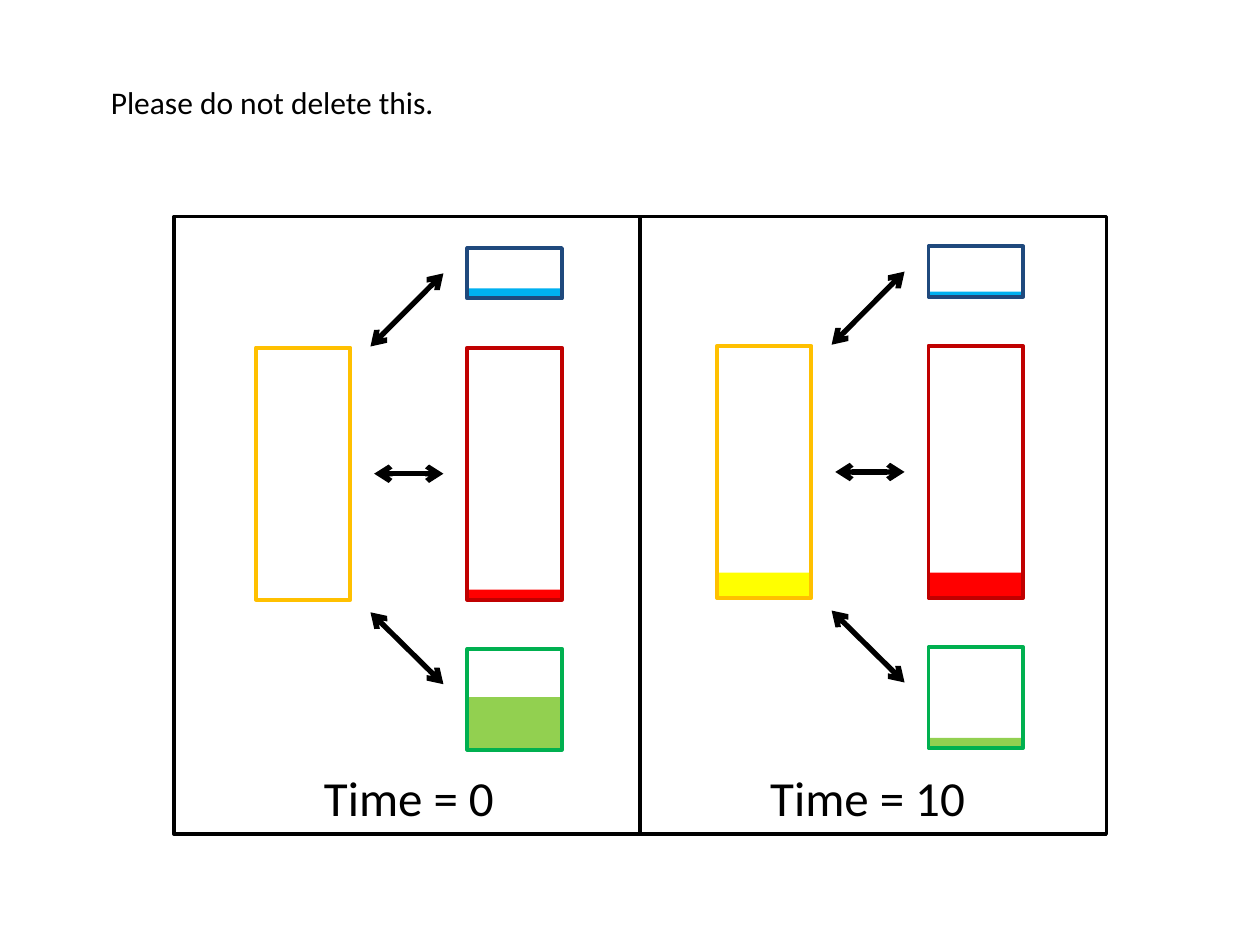
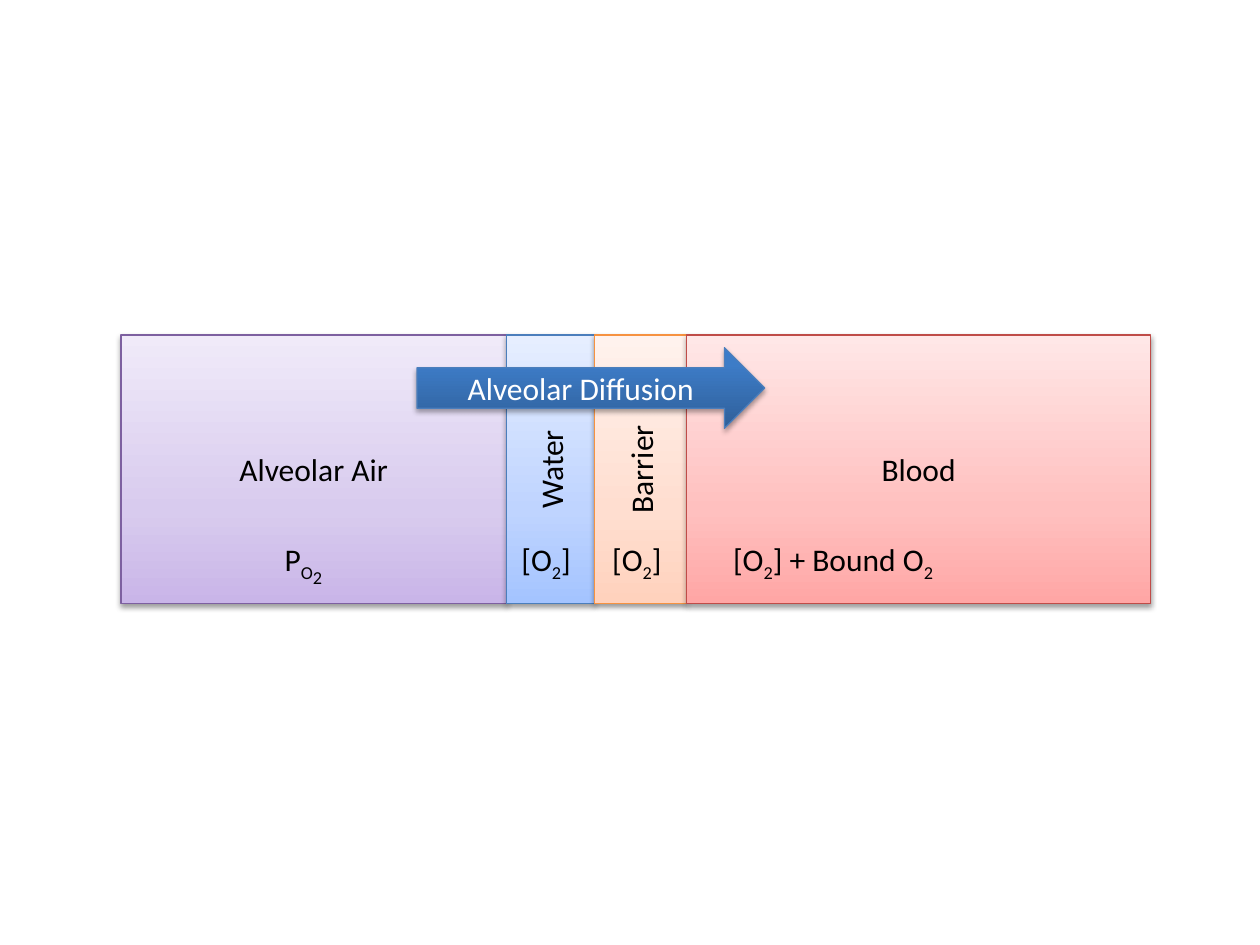
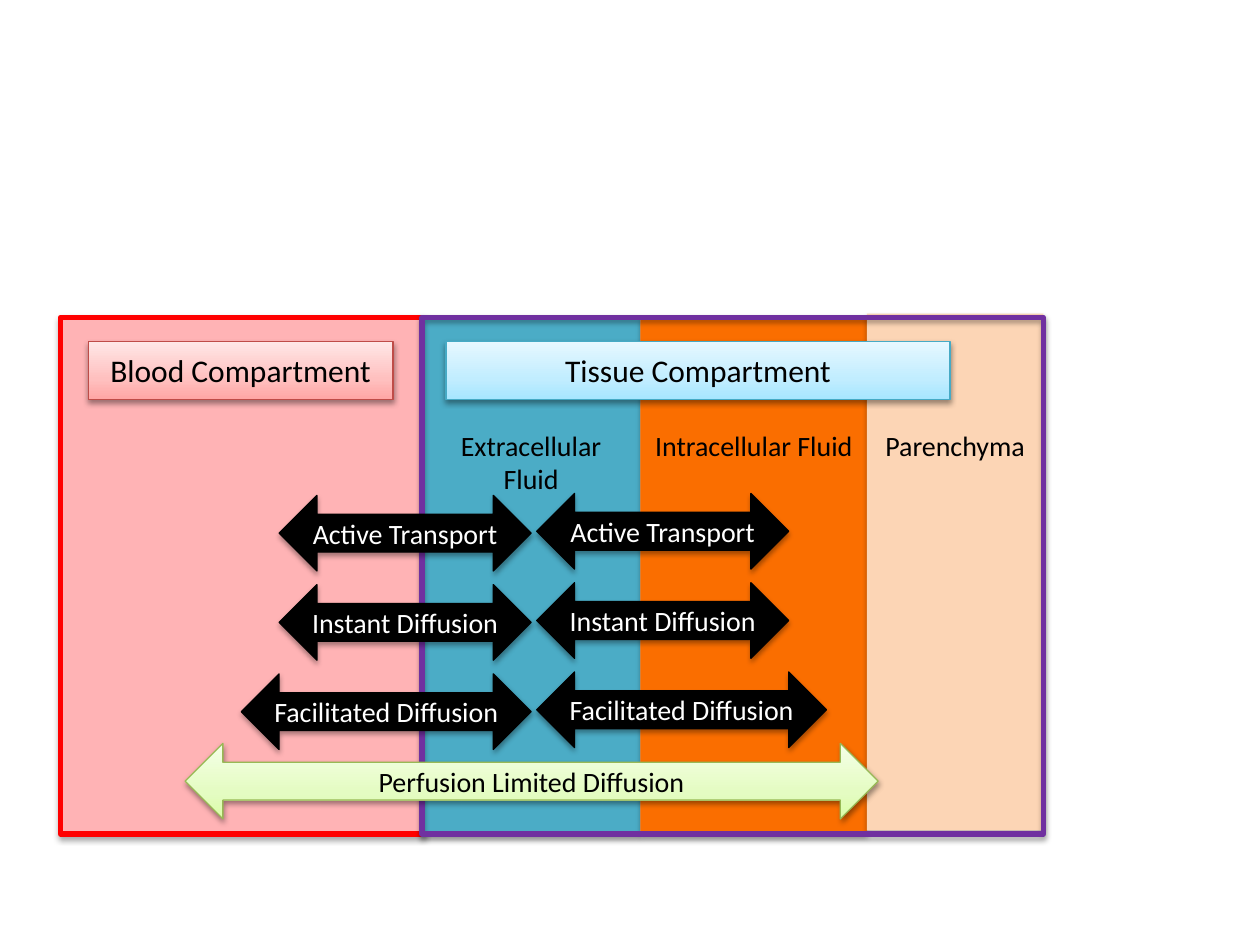
from copy import deepcopy
from dataclasses import dataclass
from typing import NamedTuple

from lxml.etree import SubElement
from pptx import Presentation
from pptx.dml.color import RGBColor
from pptx.enum.shapes import MSO_CONNECTOR, MSO_SHAPE
from pptx.enum.text import MSO_ANCHOR, MSO_AUTO_SIZE, PP_ALIGN
from pptx.oxml.ns import qn
from pptx.util import Pt

FONT = "Calibri"
COLORS = {
    "black": "000000", "white": "FFFFFF",
    "blood": "FF0000", "blood wall": "C00000",
    "water": "00B0F0", "water wall": "1F497D",
    "plant": "92D050", "plant wall": "00B050",
    "sun": "FFFF00", "sun wall": "FFC000",
    "lilac edge": "7D60A0", "blue edge": "4B7EBC", "peach edge": "F69240",
    "rose edge": "BF4C48", "aqua edge": "46AAC5", "lime edge": "98B955",
    "pink": "FFB3B5", "teal": "4BACC6", "orange": "FA6E00",
    "skin": "FCD5B5", "purple": "7030A0",
}
# Stop position in percent, from the bottom edge up, and its colour
GRADIENTS = {
    "lilac": {0: "C9B5E8", 35: "D8CBEE", 100: "F0EAF9"},
    "blue": {0: "A4C4FF", 35: "BFD4FF", 100: "E6EEFF"},
    "peach": {0: "FFD2BD", 35: "FFDED0", 100: "FFF2ED"},
    "rose": {0: "FFA6A5", 35: "FFC0BF", 100: "FFE7E7"},
    "aqua": {0: "A7E6FF", 35: "C1EDFF", 100: "E7F8FF"},
    "lime": {0: "DAFDA7", 35: "E4FCC2", 100: "F5FFE7"},
    "deep blue": {0: "2F5F99", 80: "3D7CC7", 100: "3A7CCB"},
}


class Box(NamedTuple):
    left: float
    top: float
    width: float
    height: float


class Shadow(NamedTuple):
    opacity: int
    distance: float


SOFT = Shadow(38, 1.6)
STRONG = Shadow(35, 1.8)


@dataclass(frozen=True)
class Style:
    fill: str | None = None
    line: str | None = None
    line_width: float = 0.75
    shadow: Shadow | None = None


@dataclass(frozen=True)
class Vessel:
    name: str
    left: float
    top: float
    height: float


@dataclass(frozen=True)
class Panel:
    caption: str
    caption_left: float
    shift_x: float
    shift_y: float
    levels: dict[str, float]


@dataclass(frozen=True)
class Compartment:
    text: str
    width: float
    tint: str
    upright: bool = False


def rgb(name: str) -> RGBColor:
    return RGBColor.from_string(COLORS[name])


def write_text(shape, text, *, size=18, color="black", align=PP_ALIGN.CENTER,
               anchor=MSO_ANCHOR.MIDDLE, upright=False) -> None:
    """Write a string, or (string, baseline percent) pairs, as one paragraph."""
    frame = shape.text_frame
    frame.word_wrap = True
    frame.vertical_anchor = anchor
    if upright:
        frame._txBody.bodyPr.set("vert", "vert270")
    paragraph = frame.paragraphs[0]
    paragraph.alignment = align
    for part, baseline in [(text, 0)] if isinstance(text, str) else text:
        run = paragraph.add_run()
        run.text = part
        run.font.name = FONT
        run.font.size = Pt(size)
        run.font.color.rgb = rgb(color)
        if baseline:
            run.font._element.set("baseline", str(baseline * 1000))


def add_label(slide, box: Box, text, **text_format) -> None:
    label = slide.shapes.add_textbox(*map(Pt, box))
    write_text(label, text, anchor=MSO_ANCHOR.TOP, **text_format)
    label.text_frame.auto_size = MSO_AUTO_SIZE.SHAPE_TO_FIT_TEXT


def fill_gradient(shape, name: str) -> None:
    shape.fill.gradient()
    shape.fill.gradient_angle = 90
    stop_list = shape.element.spPr.find(f".//{qn('a:gsLst')}")
    stop_list.append(deepcopy(stop_list[-1]))
    for stop, (percent, color) in zip(shape.fill.gradient_stops, GRADIENTS[name].items()):
        stop.position = percent / 100
        stop.color.rgb = RGBColor.from_string(color)


def cast_shadow(shape, shadow: Shadow) -> None:
    effects = shape.element.spPr.find(qn("a:effectLst"))
    outer = SubElement(effects, qn("a:outerShdw"), blurRad=str(Pt(3.1)),
                       dist=str(Pt(shadow.distance)), dir="5400000", rotWithShape="0")
    color = SubElement(outer, qn("a:srgbClr"), val=COLORS["black"])
    SubElement(color, qn("a:alpha"), val=str(shadow.opacity * 1000))


def add_block(slide, box: Box, style: Style, text="", kind=MSO_SHAPE.RECTANGLE,
              **text_format) -> None:
    shape = slide.shapes.add_shape(kind, *map(Pt, box))
    if style.fill in GRADIENTS:
        fill_gradient(shape, style.fill)
    elif style.fill:
        shape.fill.solid()
        shape.fill.fore_color.rgb = rgb(style.fill)
    else:
        shape.fill.background()
    if style.line:
        shape.line.color.rgb = rgb(style.line)
        shape.line.width = Pt(style.line_width)
    else:
        shape.line.fill.background()
    shape.shadow.inherit = False
    if style.shadow:
        cast_shadow(shape, style.shadow)
    if text:
        write_text(shape, text, **text_format)


def add_line(slide, start: tuple[float, float], end: tuple[float, float],
             width: float, arrows=False) -> None:
    line = slide.shapes.add_connector(MSO_CONNECTOR.STRAIGHT, *map(Pt, (*start, *end)))
    line.line.color.rgb = rgb("black")
    line.line.width = Pt(width)
    properties = line.element.spPr
    if arrows:
        for tag in ("a:headEnd", "a:tailEnd"):
            SubElement(properties.find(qn("a:ln")), qn(tag), type="arrow")
    SubElement(properties, qn("a:effectLst"))


VESSEL_WIDTH = 54
VESSELS = [
    Vessel("blood", 267.1, 198.7, 144),
    Vessel("water", 267.1, 141.8, 28.8),
    Vessel("plant", 267.1, 370.8, 57.6),
    Vessel("sun", 146.2, 198.7, 144),
]
FLOWS = [
    ((213.8, 270.7), (253.4, 270.7)),
    ((211.7, 198), (253.4, 156.2)),
    ((211.7, 349.9), (253.4, 391)),
]
PANELS = [
    Panel("Time = 0", 126, 0, 0, {"blood": 5.8, "water": 5.8, "plant": 30}),
    Panel("Time = 10", 388.1, 263.5, -1,
          {"blood": 14.4, "water": 2.9, "plant": 5.8, "sun": 14.4}),
]


def draw_panel(slide, panel: Panel) -> None:
    for vessel in VESSELS:
        left, top = vessel.left + panel.shift_x, vessel.top + panel.shift_y
        level = panel.levels.get(vessel.name)
        if level:
            liquid = Box(left, top + vessel.height - level, VESSEL_WIDTH, level)
            add_block(slide, liquid, Style(fill=vessel.name))
        add_block(slide, Box(left, top, VESSEL_WIDTH, vessel.height),
                  Style(line=f"{vessel.name} wall", line_width=2.25))
    for flow in FLOWS:
        start, end = [(x + panel.shift_x, y + panel.shift_y) for x, y in flow]
        add_line(slide, start, end, 3, arrows=True)
    add_label(slide, Box(panel.caption_left, 434.9, 215.3, 41), panel.caption, size=28)


def draw_time_slide(slide) -> None:
    for panel in PANELS:
        draw_panel(slide, panel)
    frame = Box(99.4, 123.8, 532.8, 352.8)
    add_block(slide, frame, Style(line="black", line_width=2))
    middle = frame.left + frame.width / 2
    add_line(slide, (middle, frame.top), (middle, frame.top + frame.height), 2.25)
    add_label(slide, Box(56.2, 43.9, 353.5, 29), "Please do not delete this.",
              align=PP_ALIGN.LEFT)


COMPARTMENTS = [
    Compartment("Alveolar Air", 220.3, "lilac"),
    Compartment("Water", 50.4, "blue", upright=True),
    Compartment("Barrier", 52.6, "peach", upright=True),
    Compartment("Blood", 265, "rose"),
]
DISSOLVED = [("[O", 0), ("2", -25), ("]", 0)]
OXYGEN_LABELS = [
    (155.5, 46.8, [("P", 0), ("O", -25), ("2", -40)]),
    (290.9, 46.8, DISSOLVED),
    (342.7, 46.8, DISSOLVED),
    (411.8, 157.7, [*DISSOLVED[:2], ("] + Bound O", 0), ("2", -25)]),
]


def draw_alveolar_slide(slide) -> None:
    left = 69.1
    for part in COMPARTMENTS:
        add_block(slide, Box(left, 191.5, part.width, 153.4),
                  Style(part.tint, f"{part.tint} edge", shadow=SOFT),
                  part.text, upright=part.upright)
        left += part.width
    for left, width, text in OXYGEN_LABELS:
        add_label(slide, Box(left, 305.3, width, 29), text, align=PP_ALIGN.LEFT)
    add_block(slide, Box(238.3, 198.7, 198.7, 46.1),
              Style("deep blue", "blue edge", shadow=STRONG), "Alveolar Diffusion",
              MSO_SHAPE.RIGHT_ARROW, color="white")


TISSUE_TOP, TISSUE_HEIGHT = 181.4, 295.2
TISSUES = [
    (241.2, TISSUE_TOP, 124.6, "teal", "Extracellular Fluid"),
    (366, TISSUE_TOP, 129.6, "orange", "Intracellular Fluid"),
    (495.4, 179.3, 100.8, "skin", "Parenchyma"),
]
HEADINGS = [
    (50.4, 174.2, "rose", "Blood Compartment"),
    (254.9, 288, "aqua", "Tissue Compartment"),
]
TRANSPORTS = [
    ("Active Transport", 144),
    ("Instant Diffusion", 144),
    ("Facilitated Diffusion", 165.6),
]
TRANSPORT_STEP = 51
ARROW_HEIGHT = 43.2


def draw_tissue_slide(slide) -> None:
    add_block(slide, Box(34.6, TISSUE_TOP, 207.4, TISSUE_HEIGHT),
              Style("pink", "blood", 3, STRONG))
    for left, top, width, fill, _ in TISSUES:
        add_block(slide, Box(left, top, width, TISSUE_HEIGHT), Style(fill, shadow=STRONG))
    add_block(slide, Box(241.2, TISSUE_TOP, 355, TISSUE_HEIGHT),
              Style(line="purple", line_width=3, shadow=STRONG))
    add_block(slide, Box(105.8, 424.8, 396, ARROW_HEIGHT),
              Style("lime", "lime edge", shadow=SOFT), "Perfusion Limited Diffusion",
              MSO_SHAPE.LEFT_RIGHT_ARROW, size=16)
    for left, width, tint, text in HEADINGS:
        add_block(slide, Box(left, 195.1, width, 33.1),
                  Style(tint, f"{tint} edge", shadow=SOFT), text)
    for left, _, width, _, text in TISSUES:
        add_label(slide, Box(left, 241.2, width, 46.1), text, size=16)
    for row, (text, width) in enumerate(TRANSPORTS):
        for left, first_top in ((303.5 - width, 283.1), (306.7, 282)):
            top = first_top + row * TRANSPORT_STEP
            add_block(slide, Box(left, top, width, ARROW_HEIGHT),
                      Style("black", "black", shadow=STRONG), text,
                      MSO_SHAPE.LEFT_RIGHT_ARROW, size=16, color="white")


def main() -> None:
    presentation = Presentation()
    presentation.slide_width, presentation.slide_height = Pt(720), Pt(540)
    blank_layout = presentation.slide_layouts[6]
    for draw in (draw_time_slide, draw_alveolar_slide, draw_tissue_slide):
        draw(presentation.slides.add_slide(blank_layout))
    presentation.save("out.pptx")


if __name__ == "__main__":
    main()
